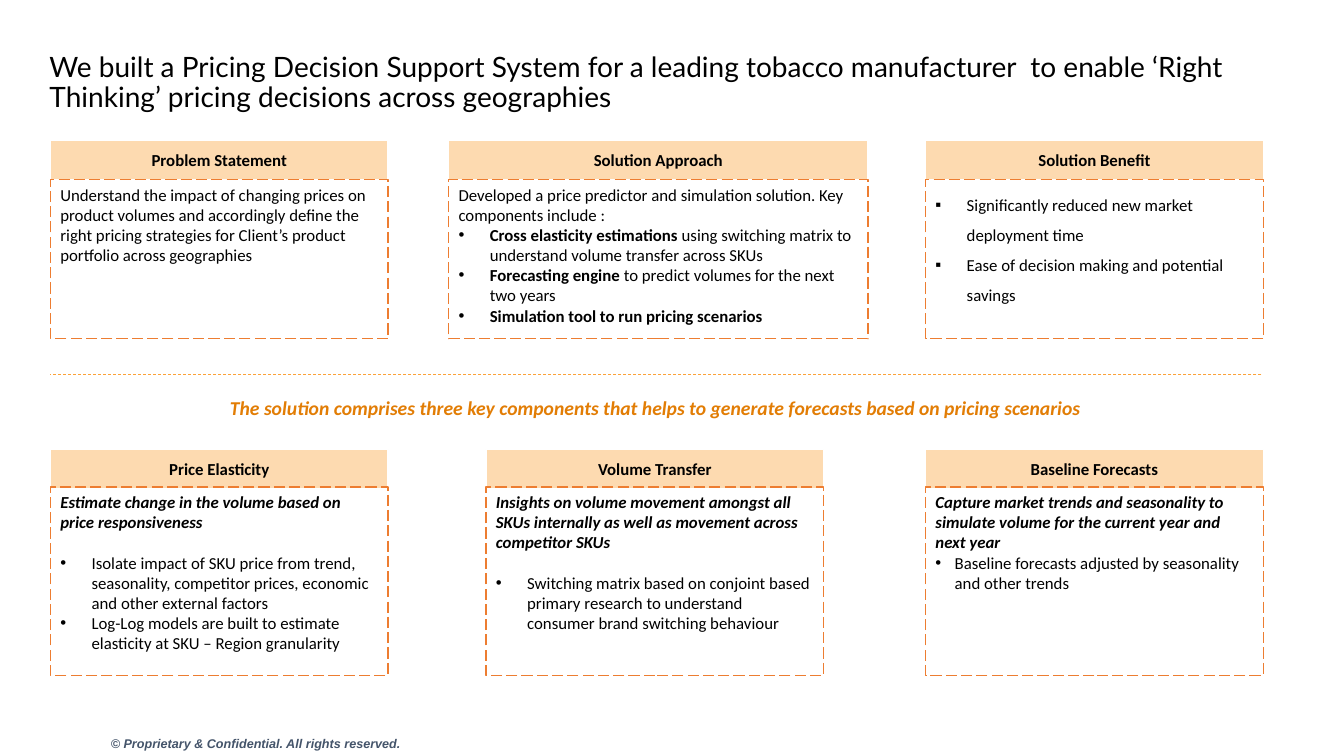
from dataclasses import dataclass
from lxml.etree import SubElement
from pptx import Presentation
from pptx.dml.color import RGBColor
from pptx.enum.dml import MSO_LINE as Dash
from pptx.enum.shapes import MSO_CONNECTOR as Wire, MSO_SHAPE as Shape
from pptx.enum.text import MSO_ANCHOR as Anchor, MSO_AUTO_SIZE as Fit, PP_ALIGN as Align
from pptx.oxml.ns import qn
from pptx.util import Inches, Pt

WIDE, HIGH = 13.33, 7.5
LEFT, MID, RIGHT = (0.5, 3.35), (4.45, 4.16), (9.18, 3.35)
SLIM = (4.82, 3.35)
HEAD = 0.39
TOP, LOW = (1.39, 1.78, 1.58), (4.46, 4.83, 1.87)
SPAN = 12.01


@dataclass
class Para:
    """Hold the runs of one paragraph and its layout."""
    runs: list
    bullet: str = ""
    indent: float = 0.31
    lead: float = 1.0
    before: float = 0


def paint(hue):
    """Turn a hex string into a colour."""
    return RGBColor.from_string(hue)


def place(x, y, w, h):
    """Turn inches into slide lengths."""
    return [Inches(n) for n in (x, y, w, h)]


def write(para, text, size=12, style="", face="Calibri", hue="000000"):
    """Add one run; style holds b for bold and i for italic."""
    run = para.add_run()
    run.text = text
    font = run.font
    font.name, font.size = face, Pt(size)
    font.bold, font.italic = "b" in style, "i" in style
    font.color.rgb = paint(hue)


def mark(para, sign, indent):
    """Give a paragraph a hanging bullet."""
    props = para._p.get_or_add_pPr()
    props.set("marL", str(Inches(indent)))
    props.set("indent", str(-Inches(indent)))
    SubElement(props, qn("a:buFont")).set("typeface", "Arial")
    SubElement(props, qn("a:buChar")).set("char", sign)


def block(slide, area, anchor):
    """Add a plain rectangle and return it."""
    rect = slide.shapes.add_shape(Shape.RECTANGLE, *place(*area))
    rect.shadow.inherit = False
    rect.line.width = Pt(1)
    rect.text_frame.word_wrap = True
    rect.text_frame.vertical_anchor = anchor
    return rect


def header(slide, area, text):
    """Add a filled heading bar."""
    bar = block(slide, area, Anchor.MIDDLE)
    bar.fill.solid()
    bar.fill.fore_color.rgb = paint("FDDAB0")
    bar.line.color.rgb = paint("FFFFFF")
    para = bar.text_frame.paragraphs[0]
    para.alignment = Align.CENTER
    write(para, text, style="b")


def body(slide, area, paras):
    """Add a dashed box with its paragraphs."""
    box = block(slide, area, Anchor.TOP)
    box.fill.background()
    box.line.color.rgb = paint("ED7D31")
    box.line.dash_style = Dash.LONG_DASH
    frame = box.text_frame
    for i, item in enumerate(paras):
        para = frame.add_paragraph() if i else frame.paragraphs[0]
        para.alignment = Align.LEFT
        para.line_spacing = item.lead
        para.space_before = Pt(item.before)
        if item.bullet:
            mark(para, item.bullet, item.indent)
        for text, style in item.runs:
            write(para, text, style=style)


def card(slide, col, row, title, paras):
    """Add a heading bar with its box below."""
    (x, w), (top, y, h) = col, row
    header(slide, (x, top, w, HEAD), title)
    body(slide, (x, y, w, h), paras)


def label(slide, area, text, align, **look):
    """Add a one-line text box."""
    box = slide.shapes.add_textbox(*place(*area))
    frame = box.text_frame
    frame.word_wrap = True
    frame.auto_size = Fit.SHAPE_TO_FIT_TEXT
    frame.paragraphs[0].alignment = align
    write(frame.paragraphs[0], text, **look)


def title(slide, text):
    """Move and format the title placeholder."""
    shape = slide.shapes.title
    shape.left, shape.top, shape.width, shape.height = place(0.39, 0.54, 12.56, 0.58)
    frame = shape.text_frame
    frame.word_wrap, frame.auto_size = True, Fit.NONE
    frame.vertical_anchor = Anchor.MIDDLE
    para = frame.paragraphs[0]
    para.alignment, para.line_spacing = Align.LEFT, 0.9
    write(para, text, size=20, face="Lato")


def rule(slide, y):
    """Add the dashed line between both rows."""
    x = LEFT[0]
    line = slide.shapes.add_connector(
        Wire.STRAIGHT, Inches(x + SPAN), Inches(y), Inches(x), Inches(y))
    line.line.color.rgb = paint("FBA239")
    line.line.width = Pt(0.5)
    line.line.dash_style = Dash.DASH
    SubElement(line._element.spPr, qn("a:effectLst"))


def main():
    """Build the slide and save it."""
    deck = Presentation()
    deck.slide_width, deck.slide_height = Inches(WIDE), Inches(HIGH)
    slide = deck.slides.add_slide(deck.slide_layouts[5])
    title(slide, "We built a Pricing Decision Support System for a leading tobacco "
          "manufacturer  to enable ‘Right Thinking’ pricing decisions across geographies")
    card(slide, LEFT, TOP, "Problem Statement", [
        Para([("Understand the impact of changing prices on product volumes and "
               "accordingly define the right pricing strategies for Client’s product "
               "portfolio across geographies", "")])])
    card(slide, MID, TOP, "Solution Approach", [
        Para([("Developed a price predictor and simulation solution. "
               "Key components include :", "")]),
        Para([("Cross elasticity estimations ", "b"),
              ("using switching matrix to understand volume transfer across SKUs", "")], "•"),
        Para([("Forecasting engine ", "b"),
              ("to predict volumes for the next two years", "")], "•"),
        Para([("Simulation tool to run pricing scenarios", "b")], "•")])
    card(slide, RIGHT, TOP, "Solution Benefit", [
        Para([("Significantly reduced new market deployment time", "")], "▪", lead=1.5),
        Para([("Ease of decision making and potential savings", "")], "▪", lead=1.5)])
    rule(slide, 3.71)
    label(slide, (LEFT[0], 3.88, SPAN, 0.34),
          "The solution comprises three key components that helps to generate "
          "forecasts based on pricing scenarios", Align.CENTER,
          size=14, style="bi", hue="E27D05")
    card(slide, LEFT, LOW, "Price Elasticity", [
        Para([("Estimate change in the volume based on price responsiveness", "bi")]),
        Para([("Isolate impact of SKU price from trend, seasonality, competitor prices, "
               "economic and other external factors", "")], "•", before=14.6),
        Para([("Log-Log models are built to estimate elasticity at "
               "SKU – Region granularity", "")], "•")])
    card(slide, SLIM, LOW, "Volume Transfer", [
        Para([("Insights on volume movement amongst all SKUs internally as well as "
               "movement across competitor SKUs", "bi")]),
        Para([("Switching matrix based on conjoint based primary research to understand "
               "consumer brand switching behaviour", "")], "•", before=14.6)])
    card(slide, RIGHT, LOW, "Baseline Forecasts", [
        Para([("Capture market trends and seasonality to simulate volume for the "
               "current year and next year", "bi")]),
        Para([("Baseline forecasts adjusted by seasonality and other trends", "")],
             "•", indent=0.19)])
    label(slide, (1, 7.25, 11.08, 0.25),
          "© Proprietary & Confidential. All rights reserved.", Align.LEFT,
          size=9, style="bi", face="Arial", hue="44546A")
    deck.save("out.pptx")


if __name__ == "__main__":
    main()
